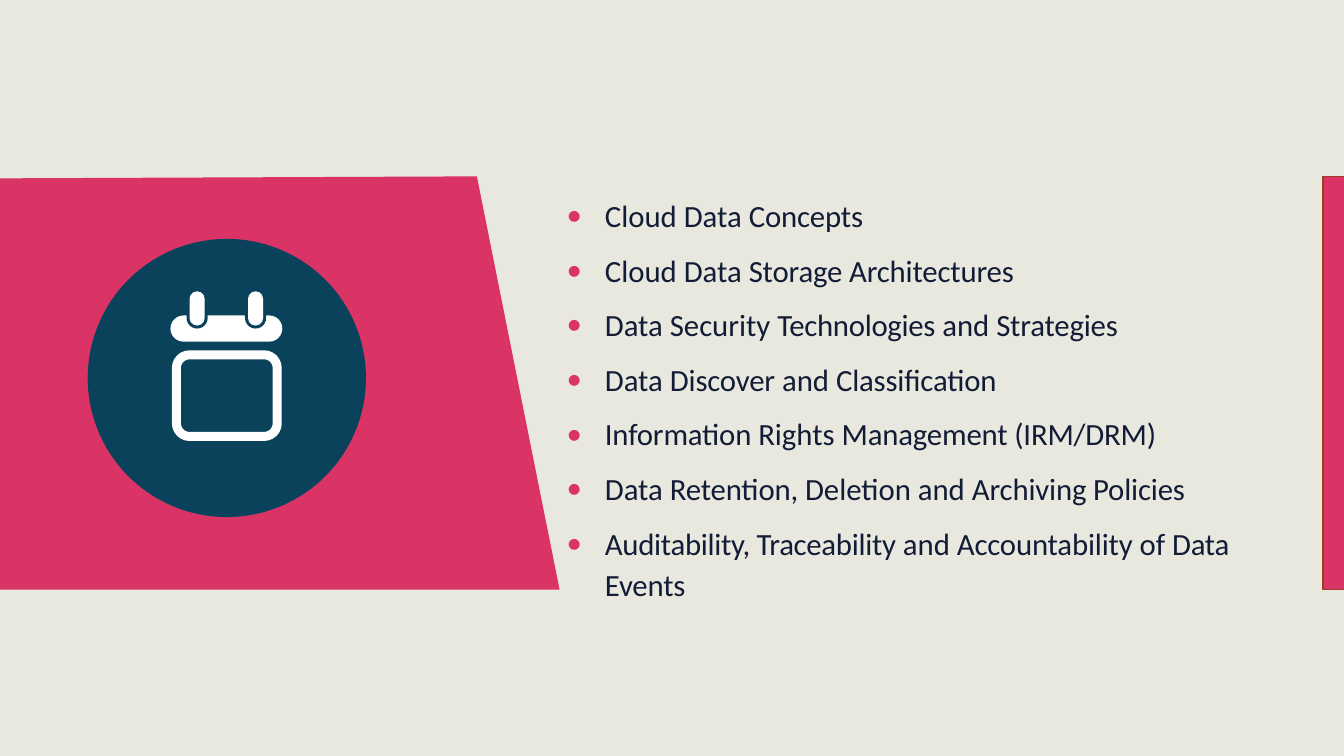
"""Build the cloud data topics slide with its calendar panel."""
from dataclasses import dataclass
from typing import Optional

from lxml.etree import SubElement
from pptx import Presentation
from pptx.dml.color import RGBColor
from pptx.enum.shapes import MSO_SHAPE
from pptx.enum.text import MSO_AUTO_SIZE
from pptx.oxml.ns import qn
from pptx.shapes.autoshape import Shape
from pptx.slide import Slide
from pptx.util import Inches, Pt

CREAM, PINK, RUST = "E9E8DE", "DA3467", "9F3D23"
NAVY, WHITE, INK = "0A425B", "FFFFFF", "131C36"
PAGE_WIDTH, PAGE_HEIGHT = 13.33, 7.5
BAND_TOP, BAND_BOTTOM = 1.75, 5.85
PANEL_CORNERS = [(4.73, BAND_TOP), (0, 1.77), (0, BAND_BOTTOM), (5.55, BAND_BOTTOM)]
PEG_LEFTS = (1.88, 2.46)
PEG_WIDTH, PEG_HEIGHT, PEG_TOP, PEG_GAP = 0.15, 0.34, 2.89, 0.03
TEXT_INDENT, BULLET_HANG = 0.39, 0.38
FONT_NAME = "Calibri"
TOPIC_FONT = {"name": FONT_NAME, "size": Pt(22)}
TOPIC_FRAME = {
    "margin_left": 0,
    "margin_top": Inches(0.19),
    "margin_right": 0,
    "margin_bottom": 0,
    "word_wrap": True,
    "auto_size": MSO_AUTO_SIZE.SHAPE_TO_FIT_TEXT,
}
NORMAL, TIGHT, TIGHTER = 0, -10, -20


@dataclass(frozen=True)
class Block:
    """A preset shape with its place and colours."""

    kind: MSO_SHAPE
    left: float
    top: float
    width: float
    height: float
    fill: Optional[str] = None
    line: Optional[str] = None
    line_width: float = 1
    rounding: Optional[float] = None


@dataclass(frozen=True)
class Topic:
    """A line of the topic list, as texts with their letter spacing."""

    spans: list[tuple[str, int]]
    space_before: float = 12.7
    bullet: bool = True


TOPICS = [
    Topic([("Cloud Data ", NORMAL), ("Concepts", TIGHT)], 0),
    Topic([("Cloud Data ", NORMAL), ("Storage Architectures", TIGHT)]),
    Topic([("Data Security ", NORMAL), ("Technologies ", TIGHTER),
           ("and ", NORMAL), ("Strategies", TIGHT)], 12.6),
    Topic([("Data ", NORMAL), ("Discover ", TIGHT), ("and ", NORMAL), ("Classification", TIGHT)]),
    Topic([("Information ", TIGHT), ("Rights ", NORMAL), ("Management (IRM/DRM)", TIGHT)], 12.6),
    Topic([("Data ", NORMAL), ("Retention, ", TIGHT),
           ("Deletion and ", NORMAL), ("Archiving Policies", TIGHT)]),
    Topic([("Auditability, Traceability ", TIGHTER), ("and ", NORMAL),
           ("Accountability ", TIGHT), ("of ", NORMAL), ("Data", TIGHTER)]),
    Topic([("Events", TIGHT)], 2.6, bullet=False),
]


def color(value: str) -> RGBColor:
    """Turn a hex string into a colour."""
    return RGBColor.from_string(value)


def paint(shape: Shape, fill: Optional[str], line: Optional[str], width: float = 1) -> None:
    """Set the fill and outline of a shape and drop its shadow."""
    shape.shadow.inherit = False
    for target, value in ((shape.fill, fill), (shape.line.fill, line)):
        if value:
            target.solid()
            target.fore_color.rgb = color(value)
        else:
            target.background()
    if line:
        shape.line.width = Pt(width)


def draw_block(page: Slide, block: Block) -> None:
    """Draw a preset shape."""
    place = [Inches(value) for value in (block.left, block.top, block.width, block.height)]
    shape = page.shapes.add_shape(block.kind, *place)
    if block.rounding is not None:
        shape.adjustments[0] = block.rounding
    paint(shape, block.fill, block.line, block.line_width)


def draw_panel(page: Slide) -> None:
    """Draw the slanted panel on the left."""
    corners = [(Inches(x), Inches(y)) for x, y in PANEL_CORNERS]
    builder = page.shapes.build_freeform(*corners[0])
    builder.add_line_segments(corners[1:], close=True)
    paint(builder.convert_to_shape(), PINK, None)


def peg(left: float, margin: float, fill: str) -> Block:
    """Describe a calendar peg widened by a margin."""
    return Block(
        MSO_SHAPE.ROUNDED_RECTANGLE,
        left - margin,
        PEG_TOP - margin,
        PEG_WIDTH + 2 * margin,
        PEG_HEIGHT + 2 * margin,
        fill,
        rounding=0.5,
    )


def draw_calendar(page: Slide) -> None:
    """Draw the calendar in its circle."""
    rounded = MSO_SHAPE.ROUNDED_RECTANGLE
    blocks = [
        Block(MSO_SHAPE.OVAL, 0.87, 2.37, 2.76, 2.76, NAVY),
        Block(rounded, 1.75, 3.52, 1, 0.81, line=WHITE, line_width=6.41, rounding=0.16),
        Block(rounded, 1.69, 3.13, 1.11, 0.26, WHITE, rounding=0.5),
    ]
    for left in PEG_LEFTS:
        blocks += [peg(left, PEG_GAP, NAVY), peg(left, 0, WHITE)]
    for block in blocks:
        draw_block(page, block)


def draw_topics(page: Slide) -> None:
    """Write the topic list."""
    box = page.shapes.add_textbox(Inches(5.61), Inches(1.76), Inches(6.7), Inches(4.23))
    frame = box.text_frame
    for name, value in TOPIC_FRAME.items():
        setattr(frame, name, value)
    for index, topic in enumerate(TOPICS):
        para = frame.add_paragraph() if index else frame.paragraphs[0]
        properties = para._p.get_or_add_pPr()
        properties.set("marL", str(Inches(TEXT_INDENT)))
        properties.set("indent", str(-Inches(BULLET_HANG) if topic.bullet else 0))
        if topic.bullet:
            bullet_color = SubElement(properties, qn("a:buClr"))
            SubElement(bullet_color, qn("a:srgbClr"), val=PINK)
            SubElement(properties, qn("a:buFont"), typeface=FONT_NAME)
            SubElement(properties, qn("a:buChar"), char="•")
        else:
            SubElement(properties, qn("a:buNone"))
        para.space_before = Pt(topic.space_before)
        for text, spacing in topic.spans:
            span = para.add_run()
            span.text = text
            for name, value in TOPIC_FONT.items():
                setattr(span.font, name, value)
            span.font.color.rgb = color(INK)
            span._r.get_or_add_rPr().set("spc", str(spacing))


def main() -> None:
    """Build and save the deck."""
    deck = Presentation()
    deck.slide_width, deck.slide_height = Inches(PAGE_WIDTH), Inches(PAGE_HEIGHT)
    page = deck.slides.add_slide(deck.slide_layouts[6])
    rectangle = MSO_SHAPE.RECTANGLE
    draw_block(page, Block(rectangle, 0, 0, PAGE_WIDTH, PAGE_HEIGHT, CREAM))
    draw_panel(page)
    band_height = BAND_BOTTOM - BAND_TOP
    draw_block(page, Block(rectangle, 13.12, BAND_TOP, 0.22, band_height, PINK, RUST))
    draw_topics(page)
    draw_calendar(page)
    deck.save("out.pptx")


if __name__ == "__main__":
    main()
